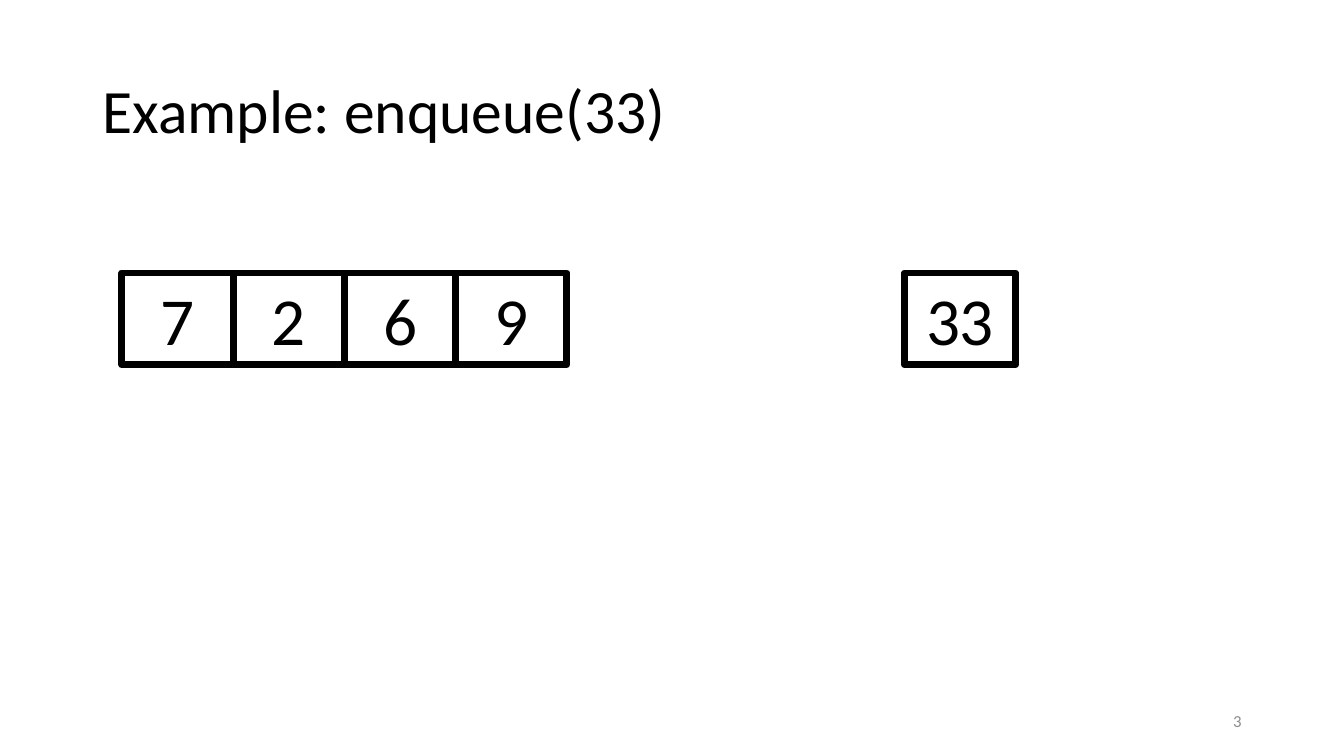
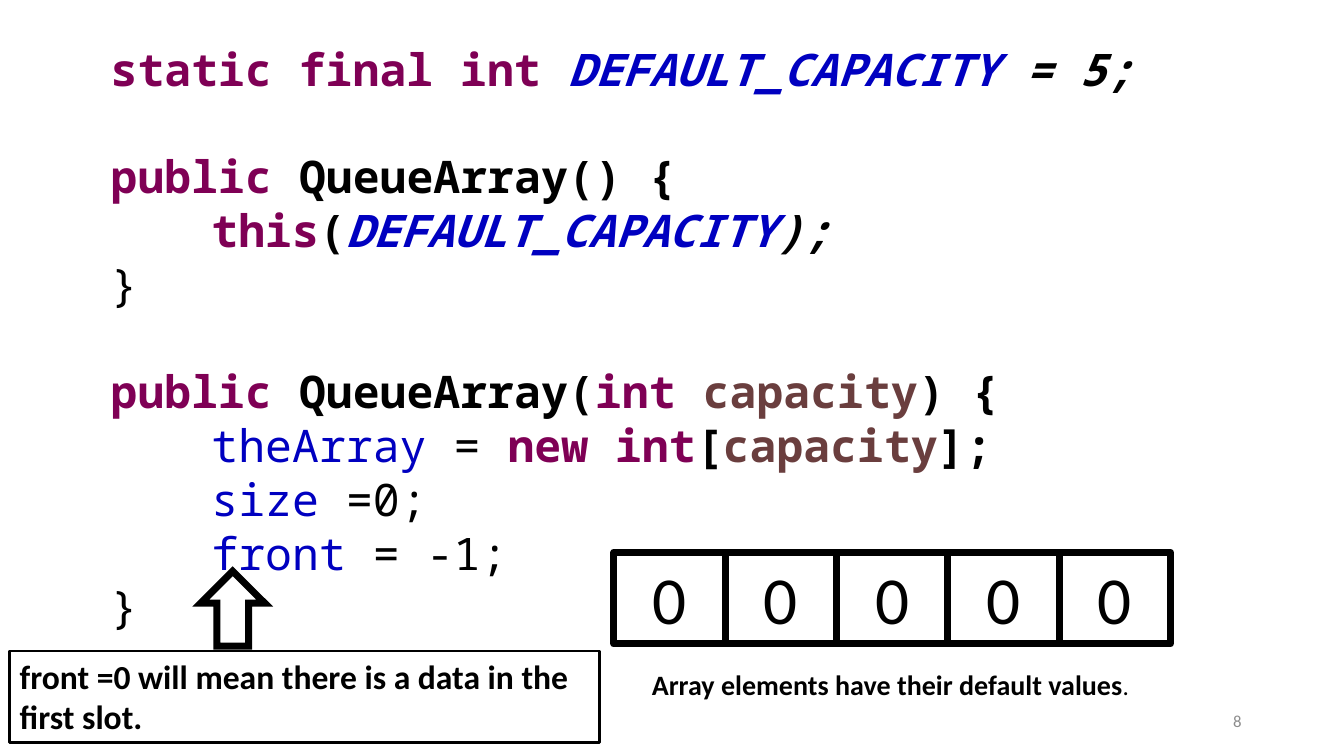
from dataclasses import dataclass

from lxml import etree
from pptx import Presentation
from pptx.dml.color import RGBColor
from pptx.enum.shapes import MSO_SHAPE
from pptx.enum.text import MSO_ANCHOR, MSO_AUTO_SIZE, PP_ALIGN
from pptx.oxml.ns import qn
from pptx.util import Pt

RECT, UP_ARROW = MSO_SHAPE.RECTANGLE, MSO_SHAPE.UP_ARROW
TOP, MIDDLE = MSO_ANCHOR.TOP, MSO_ANCHOR.MIDDLE
LEFT, CENTER, RIGHT = PP_ALIGN.LEFT, PP_ALIGN.CENTER, PP_ALIGN.RIGHT
NO_FIT = MSO_AUTO_SIZE.NONE
TITLE_ONLY, BLANK = 5, 6


@dataclass(frozen=True)
class Theme:
    font: str = "Calibri"
    code_font: str = "Noto Sans Mono"
    black: str = "000000"
    grey: str = "8C8C8C"
    keyword: str = "7F0055"
    field: str = "0000C0"
    parameter: str = "6A3E3E"
    title_size: float = 44
    cell_size: float = 48
    code_size: float = 32
    note_size: float = 24
    caption_size: float = 20
    stop_size: float = 18
    number_size: float = 12
    thick: float = 5
    thin: float = 2
    cell_width: float = 79.5
    cell_height: float = 65.5
    code_indent: float = 72
    code_gap: float = 38.4


T = Theme()

CODE = [
    (1, False, [("static final int ", T.keyword, "b"),
                ("DEFAULT_CAPACITY", T.field, "bi"), (" = 5;", T.black, "bi")]),
    (1, True, [("public ", T.keyword, "b"), ("QueueArray() {", T.black, "b")]),
    (2, False, [("this", T.keyword, "b"), ("(", T.black, "b"),
                ("DEFAULT_CAPACITY", T.field, "bi"), (");", T.black, "bi")]),
    (1, False, [("}", T.black, "")]),
    (1, True, [("public ", T.keyword, "b"), ("QueueArray(", T.black, "b"),
               ("int ", T.keyword, "b"), ("capacity", T.parameter, "b"),
               (") {", T.black, "b")]),
    (2, False, [("theArray", T.field, ""), (" = ", T.black, ""),
                ("new int", T.keyword, "b"), ("[", T.black, "b"),
                ("capacity", T.parameter, "b"), ("];", T.black, "b")]),
    (2, False, [("size", T.field, ""), (" =0;", T.black, "")]),
    (2, False, [("front", T.field, ""), (" = -1;", T.black, "")]),
    (1, False, [("}", T.black, "")]),
]


def box(x, y, w, h):
    return Pt(x), Pt(y), Pt(w), Pt(h)


def style_run(r, size, color=T.black, style="", font=T.font):
    r.font.name = font
    r.font.size = Pt(size)
    r.font.color.rgb = RGBColor.from_string(color)
    r.font.bold = "b" in style
    r.font.italic = "i" in style


def add_run(p, text, *look):
    r = p.add_run()
    r.text = text
    style_run(r, *look)


def set_text(tf, text, size, align=LEFT, anchor=TOP, color=T.black, style=""):
    tf.text = text
    tf.word_wrap = True
    tf.vertical_anchor = anchor
    p = tf.paragraphs[0]
    p.alignment = align
    style_run(p.runs[0], size, color, style)
    return p


def add_title(s, text):
    sp = s.shapes.title
    sp.left, sp.top, sp.width, sp.height = box(66, 29, 828, 104)
    p = set_text(sp.text_frame, text, T.title_size, anchor=MIDDLE)
    p.line_spacing = 0.9
    sp.text_frame.auto_size = NO_FIT


def add_number(s, text):
    sp = s.shapes.add_textbox(*box(678, 500.5, 216, 29))
    set_text(sp.text_frame, text, T.number_size, RIGHT, MIDDLE, T.grey)


def add_outline(s, kind, bounds, width):
    sp = s.shapes.add_shape(kind, *bounds)
    sp.shadow.inherit = False
    sp.fill.background()
    sp.line.color.rgb = RGBColor.from_string(T.black)
    sp.line.width = Pt(width)
    return sp


def add_cells(s, x, y, values):
    for i, value in enumerate(values):
        bounds = box(x + i * T.cell_width, y, T.cell_width, T.cell_height)
        sp = add_outline(s, RECT, bounds, T.thick)
        set_text(sp.text_frame, value, T.cell_size, CENTER)


def add_code(s, lines):
    tf = s.shapes.add_textbox(*box(0, 26, 914, 433)).text_frame
    tf.word_wrap = True
    for i, (level, gap, tokens) in enumerate(lines):
        p = tf.add_paragraph() if i else tf.paragraphs[0]
        p._p.get_or_add_pPr().set("marL", str(Pt(level * T.code_indent)))
        if gap:
            p.space_before = Pt(T.code_gap)
        for text, color, style in tokens:
            add_run(p, text, T.code_size, color, style, T.code_font)


def add_caption(s, text):
    sp = s.shapes.add_textbox(*box(458.5, 473.5, 378, 31.5))
    p = set_text(sp.text_frame, text, T.caption_size, style="b")
    add_run(p, ".", T.stop_size)


def add_note(s, text):
    sp = add_outline(s, RECT, box(7, 465, 421.5, 65.5), T.thin)
    set_text(sp.text_frame, text, T.note_size, style="b")
    arrow = add_outline(s, UP_ARROW, box(143.5, 408, 45.5, 53.5), T.thick)
    etree.SubElement(arrow.line._get_or_add_ln(), qn("a:miter"), lim="800000")


def build_example(prs):
    s = prs.slides.add_slide(prs.slide_layouts[TITLE_ONLY])
    add_title(s, "Example: enqueue(33)")
    add_cells(s, 87, 195, ["7", "2", "6", "9"])
    add_cells(s, 646, 195, ["33"])
    add_number(s, "3")


def build_constructors(prs):
    s = prs.slides.add_slide(prs.slide_layouts[BLANK])
    add_code(s, CODE)
    add_cells(s, 438.5, 394.5, ["0"] * 5)
    add_caption(s, "Array elements have their default values")
    add_note(s, "front =0 will mean there is a data in the first slot.")
    add_number(s, "8")


def main():
    prs = Presentation()
    prs.slide_width, prs.slide_height = Pt(960), Pt(540)
    build_example(prs)
    build_constructors(prs)
    prs.save("out.pptx")


if __name__ == "__main__":
    main()
